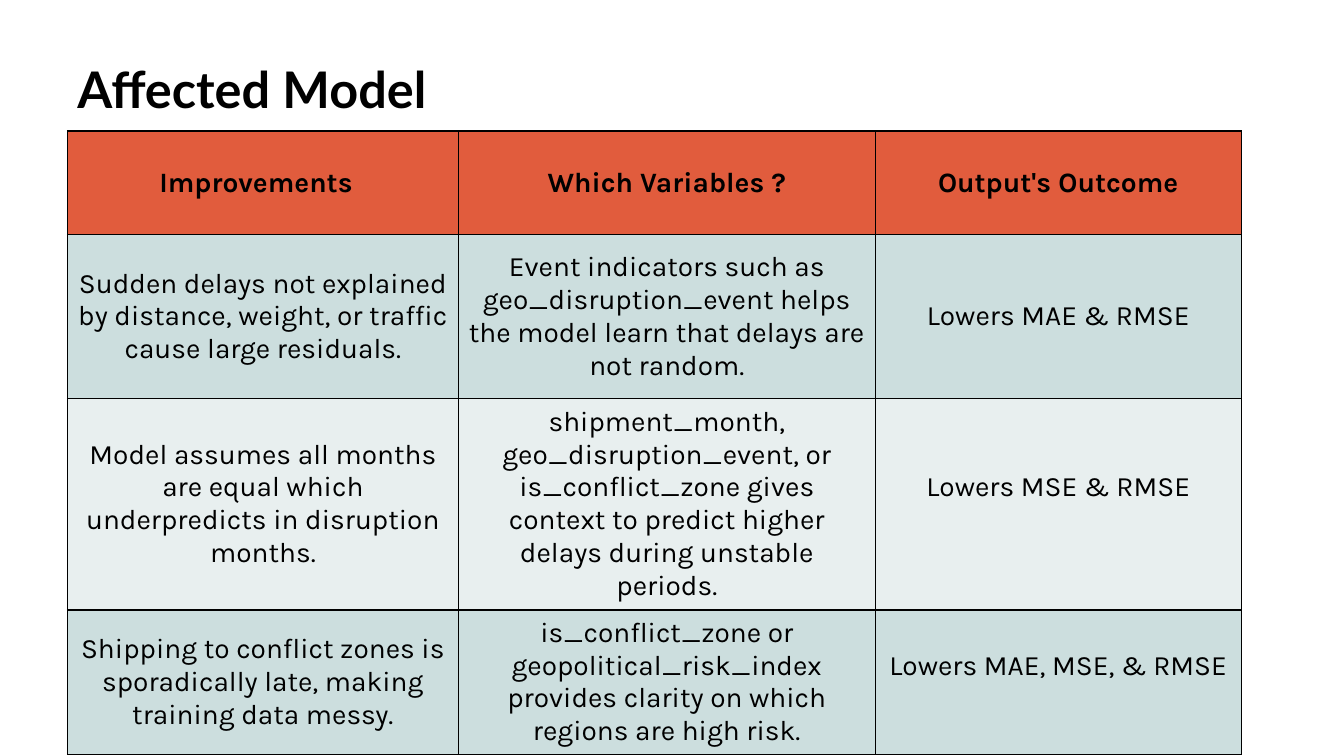
from dataclasses import dataclass

from lxml import etree
from pptx import Presentation
from pptx.dml.color import RGBColor
from pptx.enum.text import MSO_ANCHOR, PP_ALIGN
from pptx.oxml.ns import qn
from pptx.util import Pt

CENTER = PP_ALIGN.CENTER
TOP = MSO_ANCHOR.TOP
MIDDLE = MSO_ANCHOR.MIDDLE

BLACK = RGBColor(0x00, 0x00, 0x00)
ORANGE = RGBColor(0xE1, 0x5C, 0x3D)
TEAL = RGBColor(0xCC, 0xDE, 0xDE)
PALE = RGBColor(0xE8, 0xEF, 0xEF)

LEFT, WIDTH = 48.2, 838.8
TITLE_TOP, TITLE_HEIGHT = 43.2, 89.3
TABLE_TOP = 93.6
COLUMN_WIDTHS = (279.4, 297.6, 261.6)
BORDER_SIDES = ("a:lnL", "a:lnR", "a:lnT", "a:lnB")
BORDER_WIDTH = 1


@dataclass
class CellText:
    text: str
    margin_right: float = 7.2
    margin_bottom: float = 3.6


@dataclass
class Row:
    height: float
    fill: RGBColor
    cells: tuple[CellText, ...]
    bold: bool = False


ROWS = (
    Row(74.2, ORANGE, (
        CellText("Improvements", margin_right=17.2),
        CellText("Which Variables ?"),
        CellText("Output's Outcome"),
    ), bold=True),
    Row(116.6, TEAL, (
        CellText("Sudden delays not explained by distance, weight, or traffic "
                 "cause large residuals."),
        CellText("Event indicators such as geo_disruption_event helps the model "
                 "learn that delays are not random."),
        CellText("Lowers MAE & RMSE"),
    )),
    Row(122.4, PALE, (
        CellText("Model assumes all months are equal which underpredicts in "
                 "disruption months."),
        CellText("shipment_month, geo_disruption_event, or is_conflict_zone gives "
                 "context to predict higher delays during unstable periods."),
        CellText("Lowers MSE & RMSE", margin_bottom=27),
    )),
    Row(90.7, TEAL, (
        CellText("Shipping to conflict zones is sporadically late, making training "
                 "data messy."),
        CellText("is_conflict_zone or geopolitical_risk_index provides clarity on "
                 "which regions are high risk."),
        CellText("Lowers MAE, MSE, & RMSE", margin_bottom=27),
    )),
)


def format_run(r, font: str, size: float, bold: bool) -> None:
    r.font.name = font
    r.font.size = Pt(size)
    r.font.bold = bold
    r.font.color.rgb = BLACK


def add_borders(cell) -> None:
    properties = cell._tc.get_or_add_tcPr()
    for index, side in enumerate(BORDER_SIDES):
        line = etree.Element(qn(side), w=str(Pt(BORDER_WIDTH)))
        fill = etree.SubElement(line, qn("a:solidFill"))
        etree.SubElement(fill, qn("a:srgbClr"), val=str(BLACK))
        properties.insert(index, line)


def fill_cell(cell, content: CellText, row: Row) -> None:
    cell.fill.solid()
    cell.fill.fore_color.rgb = row.fill
    cell.vertical_anchor = MIDDLE
    cell.margin_right = Pt(content.margin_right)
    cell.margin_bottom = Pt(content.margin_bottom)
    p = cell.text_frame.paragraphs[0]
    p.text = content.text
    p.alignment = CENTER
    format_run(p.runs[0], "Karla", 20, row.bold)
    add_borders(cell)


def add_title(s, text: str) -> None:
    sp = s.shapes.add_textbox(Pt(LEFT), Pt(TITLE_TOP), Pt(WIDTH), Pt(TITLE_HEIGHT))
    tf = sp.text_frame
    tf.word_wrap = True
    tf.vertical_anchor = TOP
    p = tf.paragraphs[0]
    p.text = text
    p.line_spacing = 0.9
    format_run(p.runs[0], "Lato", 36, True)


def add_model_table(s, rows: tuple[Row, ...]) -> None:
    height = sum(row.height for row in rows)
    table = s.shapes.add_table(len(rows), len(COLUMN_WIDTHS), Pt(LEFT), Pt(TABLE_TOP),
                               Pt(WIDTH), Pt(height)).table
    for column, width in zip(table.columns, COLUMN_WIDTHS):
        column.width = Pt(width)
    for i, row in enumerate(rows):
        table.rows[i].height = Pt(row.height)
        for j, content in enumerate(row.cells):
            fill_cell(table.cell(i, j), content, row)


def main() -> None:
    prs = Presentation()
    prs.slide_width, prs.slide_height = Pt(960), Pt(540)
    s = prs.slides.add_slide(prs.slide_layouts[6])
    add_title(s, "Affected Model")
    add_model_table(s, ROWS)
    prs.save("out.pptx")


if __name__ == "__main__":
    main()
